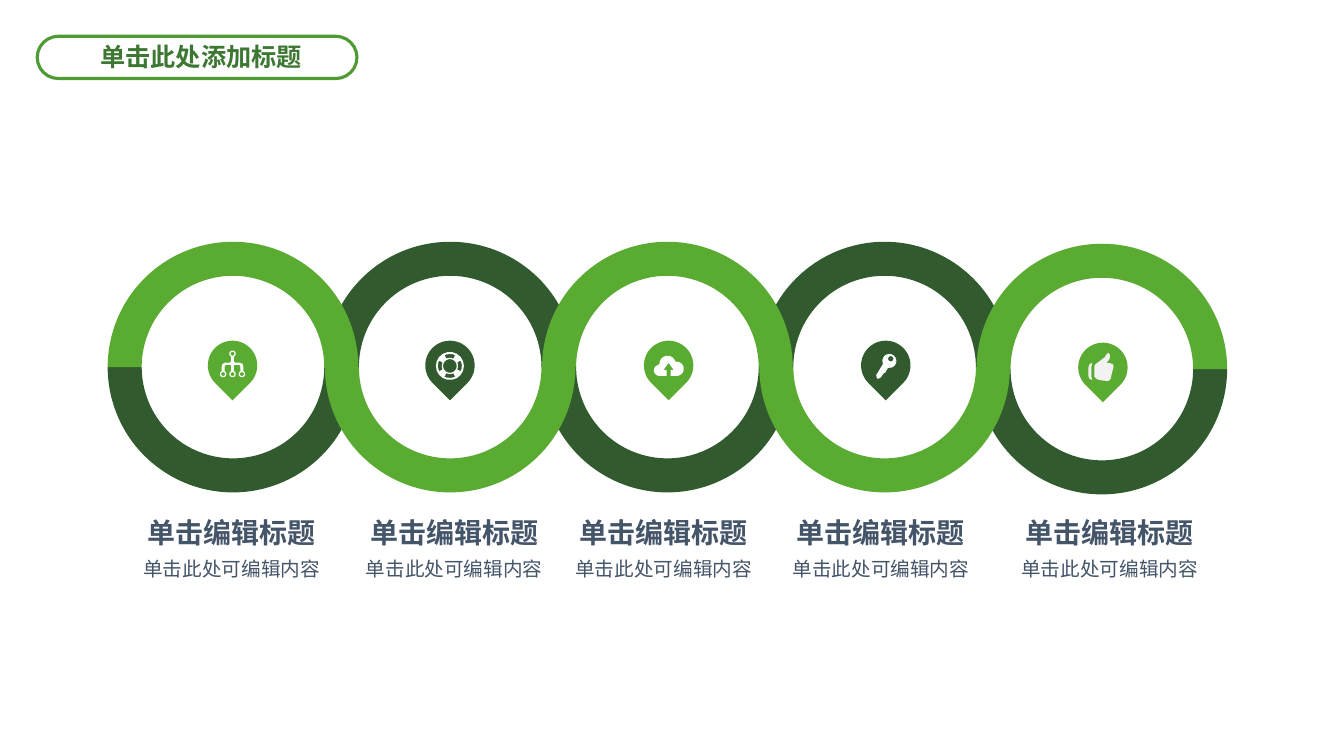
from dataclasses import dataclass
from math import cos, radians, sin

from pptx import Presentation
from pptx.dml.color import RGBColor
from pptx.enum.shapes import MSO_SHAPE
from pptx.enum.text import MSO_ANCHOR, PP_ALIGN
from pptx.util import Pt

LIGHT_GREEN = RGBColor(0x5A, 0xAB, 0x31)
DARK_GREEN = RGBColor(0x31, 0x5B, 0x2F)
BORDER_GREEN = RGBColor(0x4F, 0x9B, 0x33)
HEADING_GREEN = RGBColor(0x3C, 0x78, 0x32)
SLATE = RGBColor(0x44, 0x54, 0x69)
WHITE = RGBColor(0xFF, 0xFF, 0xFF)
PALE_GREY = RGBColor(0xF2, 0xF2, 0xF2)

Contour = list[tuple[float, float]]

FIRST_RING_X = 166.4
RING_STEP = 155.16
RING_SIZE = 179
RING_THICKNESS = 24.3
PIN_SIZE = 35.3
PIN_RISE = 1.2


@dataclass
class Stage:
    center_y: float
    pin_x: float
    caption_x: float
    upper: RGBColor
    icon: list[Contour]
    icon_color: RGBColor = WHITE


def arc(x: float, y: float, radius: float, start: int, end: int) -> Contour:
    """Return points along an arc; angles in degrees, clockwise from the right."""
    step = 20 if end > start else -20
    angles = [*range(start, end, step), end]
    return [(x + radius * cos(radians(a)), y + radius * sin(radians(a))) for a in angles]


def circle(x: float, y: float, radius: float) -> Contour:
    return arc(x, y, radius, 0, 340)


def network_icon() -> list[Contour]:
    right_half = [(1, -6.1), (1, -3), (1.8, -2), (5.3, -2), (7.2, -1), (7.7, 1), (7.7, 4),
                  (5.7, 4), (5.7, 1), (4.9, -0.3), (1, -0.3), (1, 4)]
    left_half = [(-x, y) for x, y in reversed(right_half)]
    nodes = [(0, -8.3), (-6.7, 6.2), (0, 6.2), (6.7, 6.2)]
    return [right_half + left_half] + [circle(x, y, r) for x, y in nodes for r in (2.3, 1.4)]


def lifebuoy_icon() -> list[Contour]:
    windows = [arc(0, 0.4, 8.6, a - 26, a + 26) + arc(0, 0.4, 5.8, a + 26, a - 26)
               for a in range(0, 360, 90)]
    return [circle(0, 0.4, 10), circle(0, 0.4, 4.9), *windows]


def cloud_icon() -> list[Contour]:
    arrow = [(1.4, 7.6), (1.4, 3.2), (3.6, 3.2), (0, -1.8), (-3.6, 3.2), (-1.4, 3.2), (-1.4, 7.6)]
    lobes = arc(-6.5, 3.6, 4, 90, 260) + arc(-0.7, -1.1, 5.8, 180, 345) + arc(5.8, 2.5, 5.1, 270, 450)
    return [lobes + arrow]


def key_icon() -> list[Contour]:
    shaft = [(1.6, 1.8), (-0.5, 5.4), (-1.3, 5.4), (-3.4, 8.5), (-4.2, 9), (-5.6, 9.6),
             (-6.4, 9), (-6.8, 6.7), (-6.2, 6), (-2, -1)]
    return [arc(2.6, -3.2, 5, 145, 435) + shaft, circle(3.6, -4.7, 1.9)]


def thumb_icon() -> list[Contour]:
    hand = [(2.5, -3.2), (4.8, -6), (5.1, -9), (4, -10.4), (2.8, -9.6), (1.3, -7.2), (-1.1, -5.4),
            (-5.3, -2.2), (-6.1, -1.1), (-6.1, 6.8), (-4, 8.6), (0, 9.5), (4, 9.7), (5.4, 8.5),
            (7.6, -0.5), (7.2, -2.2), (5, -3)]
    cuff = [(-7.5, -3.2), (-9.5, -2.4), (-10.4, 0.4), (-10.4, 6.1), (-9.5, 8.3), (-7.6, 9),
            (-8.3, 6.5), (-8.3, -0.4)]
    return [hand, cuff]


STAGES = [
    Stage(262.2, 166.1, 165.6, LIGHT_GREEN, network_icon()),
    Stage(262.2, 321.4, 324.5, DARK_GREEN, lifebuoy_icon()),
    Stage(262.2, 477.6, 474.1, LIGHT_GREEN, cloud_icon()),
    Stage(262.2, 632.7, 629.3, DARK_GREEN, key_icon()),
    Stage(263.6, 787.8, 792.7, LIGHT_GREEN, thumb_icon(), PALE_GREY),
]


def paint(shape, fill: RGBColor) -> None:
    shape.shadow.inherit = False
    shape.fill.solid()
    shape.fill.fore_color.rgb = fill
    shape.line.fill.background()


def add_centered(slide, kind: MSO_SHAPE, x: float, y: float, size: float, fill: RGBColor):
    """Draw a square preset shape around x, y."""
    shape = slide.shapes.add_shape(kind, Pt(x - size / 2), Pt(y - size / 2), Pt(size), Pt(size))
    paint(shape, fill)
    return shape


def add_outline(slide, contours: list[Contour], x: float, y: float, fill: RGBColor) -> None:
    """Draw closed contours as one freeform, with their origin at x, y."""
    scaled = [[(Pt(x + px), Pt(y + py)) for px, py in contour] for contour in contours]
    builder = slide.shapes.build_freeform(*scaled[0][0])
    builder.add_line_segments(scaled[0][1:])
    for contour in scaled[1:]:
        builder.move_to(*contour[0])
        builder.add_line_segments(contour[1:])
    paint(builder.convert_to_shape(), fill)


def add_text(slide, text: str, *, center_x: float, top: float, width: float, height: float,
             size: float, color: RGBColor, font: str = "Arial", bold: bool = False) -> None:
    box = slide.shapes.add_textbox(Pt(center_x - width / 2), Pt(top), Pt(width), Pt(height))
    frame = box.text_frame
    frame.word_wrap = True
    frame.margin_left = frame.margin_right = frame.margin_top = frame.margin_bottom = 0
    frame.vertical_anchor = MSO_ANCHOR.MIDDLE
    paragraph = frame.paragraphs[0]
    paragraph.alignment = PP_ALIGN.CENTER
    run = paragraph.add_run()
    run.text = text
    run.font.name = font
    run.font.size = Pt(size)
    run.font.bold = bold
    run.font.color.rgb = color


def add_ring_chain(slide) -> None:
    """Draw the dark half rings first so that the light ones pass over them."""
    for color in (DARK_GREEN, LIGHT_GREEN):
        for index, stage in enumerate(STAGES):
            half_ring = add_centered(slide, MSO_SHAPE.BLOCK_ARC, FIRST_RING_X + index * RING_STEP,
                                     stage.center_y, RING_SIZE, color)
            half_ring.adjustments[2] = RING_THICKNESS / RING_SIZE
            half_ring.rotation = 0 if stage.upper == color else 180


def add_pin(slide, stage: Stage) -> None:
    pin_y = stage.center_y - PIN_RISE
    pin = add_centered(slide, MSO_SHAPE.TEAR, stage.pin_x, pin_y, PIN_SIZE, stage.upper)
    pin.rotation = 135
    add_outline(slide, stage.icon, stage.pin_x, pin_y, stage.icon_color)


def add_heading(slide) -> None:
    pill = slide.shapes.add_shape(MSO_SHAPE.ROUNDED_RECTANGLE, Pt(26.6), Pt(25.9), Pt(228.4), Pt(30.2))
    pill.adjustments[0] = 0.5
    paint(pill, WHITE)
    pill.line.color.rgb = BORDER_GREEN
    pill.line.width = Pt(2.25)
    add_text(slide, "单击此处添加标题", center_x=143.6, top=25.9, width=160, height=28.8,
             size=18, color=HEADING_GREEN, font="Noto Sans CJK SC", bold=True)


def main() -> None:
    presentation = Presentation()
    presentation.slide_width, presentation.slide_height = Pt(960), Pt(540)
    slide = presentation.slides.add_slide(presentation.slide_layouts[6])
    add_ring_chain(slide)
    for stage in STAGES:
        add_pin(slide, stage)
        add_text(slide, "单击编辑标题", center_x=stage.caption_x, top=367.9, width=125.3,
                 height=24.5, size=20, color=SLATE, bold=True)
        add_text(slide, "单击此处可编辑内容", center_x=stage.caption_x, top=397.4, width=141.8,
                 height=17.3, size=14, color=SLATE)
    add_heading(slide)
    presentation.save("out.pptx")


if __name__ == "__main__":
    main()
